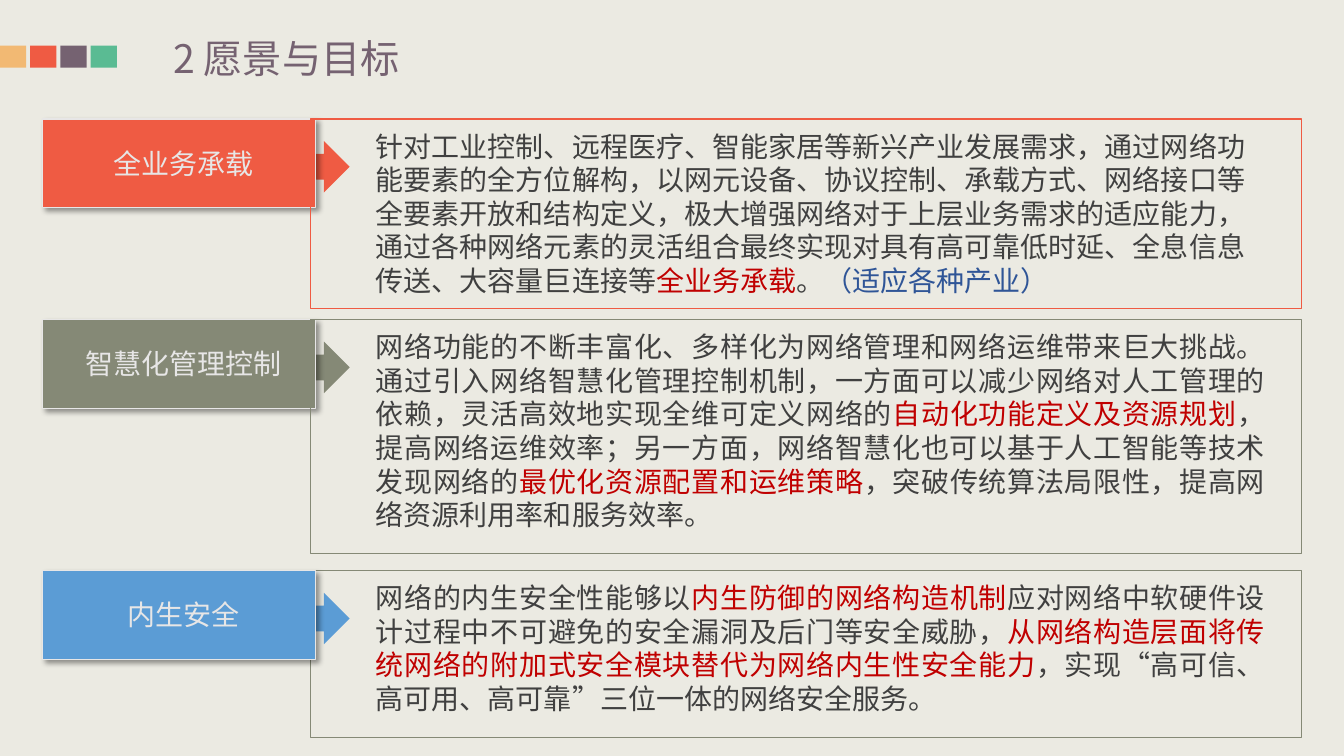
from dataclasses import dataclass

from lxml.etree import SubElement
from pptx import Presentation
from pptx.dml.color import RGBColor
from pptx.enum.shapes import MSO_SHAPE as Preset
from pptx.enum.text import MSO_AUTO_SIZE as AutoSize, PP_ALIGN as Align
from pptx.oxml.ns import qn
from pptx.util import Pt


@dataclass(frozen=True)
class Theme:
    """Colours and type of the slide."""
    background: str = "EBEAE2"
    red: str = "EF5B43"
    plum: str = "756271"
    green: str = "5ABB93"
    amber: str = "F2B973"
    olive: str = "858976"
    blue: str = "5B9CD5"
    pale: str = "E7E6E6"
    body: str = "404040"
    key: str = "C00000"
    remark: str = "2F5597"
    font: str = "Noto Sans CJK SC"
    title_size: float = 28
    text_size: float = 20
    line_ratio: float = 1.2
    border: float = 0.75


THEME = Theme()


@dataclass(frozen=True)
class Goal:
    """One goal: its label, its explanation and its look."""
    name: str
    colour: str
    frame_colour: str
    top: float
    height: float
    align: Align
    frame_behind: bool
    runs: tuple


GOALS = (
    Goal("全业务承载", THEME.red, THEME.red, 85, 135.4, Align.LEFT, False, (
        ("针对工业控制、远程医疗、智能家居等新兴产业发展需求，通过网络功能要素的全方位解构，"
         "以网元设备、协议控制、承载方式、网络接口等全要素开放和结构定义，"
         "极大增强网络对于上层业务需求的适应能力，通过各种网络元素的灵活组合"
         "最终实现对具有高可靠低时延、全息信息传送、大容量巨连接等", THEME.body),
        ("全业务承载", THEME.key),
        ("。", THEME.body),
        ("（适应各种产业）", THEME.remark))),
    Goal("智慧化管理控制", THEME.olive, THEME.olive, 228.3, 167, Align.JUSTIFY, False, (
        ("网络功能的不断丰富化、多样化为网络管理和网络运维带来巨大挑战。"
         "通过引入网络智慧化管理控制机制，一方面可以减少网络对人工管理的依赖，"
         "灵活高效地实现全维可定义网络的", THEME.body),
        ("自动化功能定义及资源规划", THEME.key),
        ("，提高网络运维效率；另一方面，网络智慧化也可以基于人工智能等技术发现网络的", THEME.body),
        ("最优化资源配置和运维策略", THEME.key),
        ("，突破传统算法局限性，提高网络资源利用率和服务效率。", THEME.body))),
    Goal("内生安全", THEME.blue, THEME.olive, 407.6, 119.5, Align.JUSTIFY, True, (
        ("网络的内生安全性能够以", THEME.body),
        ("内生防御的网络构造机制", THEME.key),
        ("应对网络中软硬件设计过程中不可避免的安全漏洞及后门等安全威胁，", THEME.body),
        ("从网络构造层面将传统网络的附加式安全模块替代为网络内生性安全能力", THEME.key),
        ("，实现“高可信、高可用、高可靠”三位一体的网络安全服务。", THEME.body))),
)


def add_block(slide, preset, box, fill=None, line=None):
    """Add a preset shape with an optional fill and outline."""
    block = slide.shapes.add_shape(preset, *map(Pt, box))
    block.shadow.inherit = False
    if fill:
        block.fill.solid()
        block.fill.fore_color.rgb = RGBColor.from_string(fill)
    else:
        block.fill.background()
    if line:
        block.line.color.rgb = RGBColor.from_string(line)
        block.line.width = Pt(THEME.border)
    else:
        block.line.fill.background()
    return block


def cast_shadow(block):
    """Give a block a soft shadow towards the lower right."""
    effects = block._element.spPr.find(qn("a:effectLst"))
    shadow = SubElement(effects, qn("a:outerShdw"), blurRad=str(Pt(4)), dist=str(Pt(3)),
                        dir=str(45 * 60000), algn="tl", rotWithShape="0")
    black = SubElement(shadow, qn("a:srgbClr"), val="000000")
    SubElement(black, qn("a:alpha"), val="40000")


def add_text(slide, box, runs, size, align=Align.LEFT, inset=None):
    """Add a wrapping one-paragraph text box from (words, colour) runs."""
    frame = slide.shapes.add_textbox(*map(Pt, box)).text_frame
    frame.word_wrap = True
    frame.auto_size = AutoSize.SHAPE_TO_FIT_TEXT
    if inset is not None:
        frame.margin_left = frame.margin_right = Pt(inset)
        frame.margin_top = frame.margin_bottom = Pt(inset)
    paragraph = frame.paragraphs[0]
    paragraph.alignment = align
    paragraph.line_spacing = Pt(size * THEME.line_ratio)
    for words, colour in runs:
        run = paragraph.add_run()
        run.text = words
        run.font.size = Pt(size)
        run.font.name = THEME.font
        run.font.color.rgb = RGBColor.from_string(colour)
        properties = run.font._element
        properties.set("lang", "zh-CN")
        SubElement(properties, qn("a:ea"), typeface=THEME.font)


def draw_heading(slide, left, top):
    """Draw the colour swatches and the slide title."""
    for index, colour in enumerate((THEME.amber, THEME.red, THEME.plum, THEME.green)):
        add_block(slide, Preset.RECTANGLE, (left + index * 21.6, top + 8, 18.7, 15.8), colour)
    add_text(slide, (left + 123.8, top, 287.3, 33.8), [("2 愿景与目标", THEME.plum)],
             THEME.title_size, inset=0)


def draw_label(slide, goal, left, top, width, height):
    """Draw the goal's name plate with the arrow leaving its right edge."""
    add_block(slide, Preset.RIGHT_ARROW,
              (left + width - 20.9, top + 15.8, 45.4, 36.7), goal.colour)
    plate = add_block(slide, Preset.RECTANGLE, (left, top, width, height),
                      goal.colour, THEME.pale)
    cast_shadow(plate)
    add_text(slide, (left + 7.9, top + 15.8, width - 9.4, 31.7),
             [(goal.name, THEME.pale)], THEME.text_size, Align.CENTER)


def draw_detail(slide, goal, left, top, width, height):
    """Draw the framed explanation of a goal."""
    add_block(slide, Preset.RECTANGLE, (left, top, width, height), line=goal.frame_colour)
    add_text(slide, (left + 39.6, top + 3.6, width - 58.4, height - 7.2),
             goal.runs, THEME.text_size, goal.align)


def draw_goal(slide, goal, left, width):
    """Draw one goal row: name plate and explanation."""
    label = (draw_label, (left, goal.top, 195.1, 63.4))
    detail = (draw_detail, (left + 191.5, goal.top, width - 191.5, goal.height))
    for draw, box in (detail, label) if goal.frame_behind else (label, detail):
        draw(slide, goal, *box)


def main():
    """Build the slide and save it."""
    deck = Presentation()
    deck.slide_width, deck.slide_height = Pt(960), Pt(540)
    slide = deck.slides.add_slide(deck.slide_layouts[6])
    slide.background.fill.solid()
    slide.background.fill.fore_color.rgb = RGBColor.from_string(THEME.background)
    draw_heading(slide, 0, 24.5)
    for goal in GOALS:
        draw_goal(slide, goal, 30.2, 899.3)
    deck.save("out.pptx")


if __name__ == "__main__":
    main()
